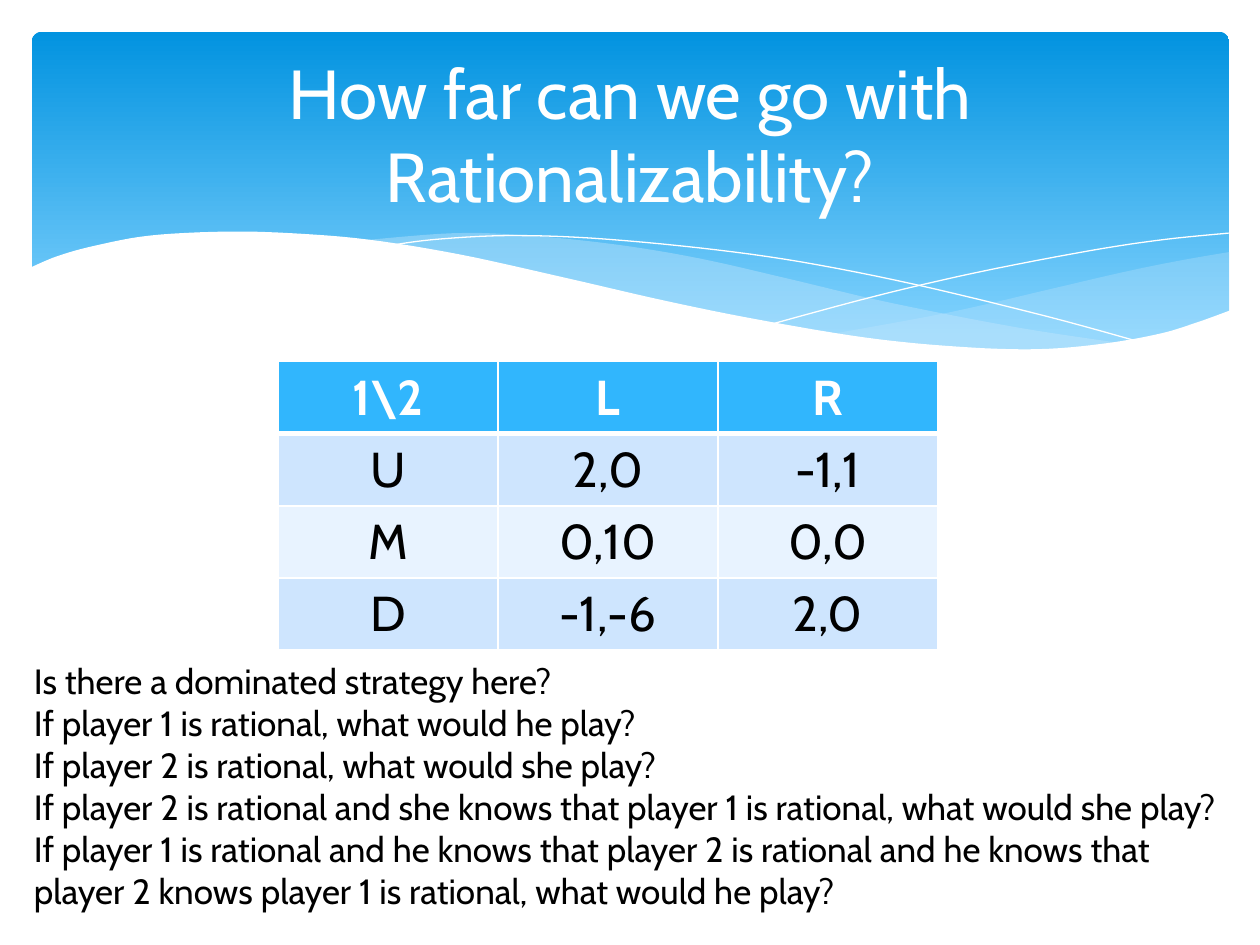
from dataclasses import dataclass
from itertools import chain

from lxml.etree import SubElement
from pptx import Presentation
from pptx.dml.color import RGBColor
from pptx.enum.shapes import MSO_SHAPE as Shape
from pptx.enum.text import MSO_ANCHOR as Anchor, MSO_AUTO_SIZE as AutoSize, PP_ALIGN as Align
from pptx.oxml import parse_xml
from pptx.oxml.ns import nsdecls, qn
from pptx.util import Cm, Pt

Point = tuple[float, float]
Curve = list[Point]


@dataclass(frozen=True)
class Theme:
    font: str = "Cabin"
    white: str = "FFFFFF"
    ink: str = "000000"
    banner_top: str = "0293E0"
    banner_bottom: str = "83D3FE"
    veil: str = "C6E7FC"
    header: str = "31B6FD"
    band_dark: str = "CEE5FE"
    band_light: str = "E8F3FF"
    title_size: float = 39.6
    table_size: float = 28
    body_size: float = 20


@dataclass(frozen=True)
class Wave:
    """Smooth curves, in cm, joined end to end; an outline only when fill is empty."""
    curves: list[Curve]
    fill: str = ""
    opacity: int = 100


THEME = Theme()

WAVES = [
    Wave([[(24.79, 5.08), (23.75, 5.26), (22.63, 5.49), (21.13, 5.84), (19.13, 6.3),
           (16.79, 6.73)],
          [(16.79, 6.73), (17.91, 6.88), (19.23, 7.01), (20.68, 7.06), (21.92, 6.99),
           (22.99, 6.83), (23.93, 6.58), (24.79, 6.27)]], THEME.veil, 29),
    Wave([[(22.68, 6.93), (20.5, 6.6), (17.93, 6.1), (15.98, 5.64), (14.1, 5.21),
           (12.42, 4.93), (10.67, 4.75), (9.17, 4.7), (7.26, 4.85)],
          [(7.26, 4.85), (9.19, 5.16), (11.4, 5.64), (13.46, 6.1), (15.7, 6.55),
           (17.65, 6.86), (19.33, 7.04), (20.78, 7.06), (21.77, 7.04), (22.68, 6.93)]],
         THEME.veil, 40),
    Wave([[(7.85, 4.95), (8.74, 4.83), (10.19, 4.75), (11.91, 4.8), (14.12, 5),
           (16.15, 5.28), (18.47, 5.74), (21.11, 6.38), (23.04, 6.91)]]),
    Wave([[(15.57, 6.53), (17.65, 5.97), (19.71, 5.49), (22, 5.05), (23.47, 4.83),
           (24.77, 4.7)]]),
    Wave([[(0.58, 5.41), (1.17, 5.16), (1.93, 4.95), (3.02, 4.75), (4.5, 4.67),
           (5.84, 4.7), (7.42, 4.83), (9.27, 5.13), (11.35, 5.59), (13.44, 6.07),
           (15.32, 6.45), (17.48, 6.81), (19.33, 6.99), (20.9, 7.04), (22.23, 6.93),
           (23.37, 6.73), (24.13, 6.5), (24.82, 6.25)],
          [(24.82, 8.36), (0.58, 8.36)]], THEME.white),
]

TITLE = "How far can we go with Rationalizability?"
PAYOFFS = [
    ["1\\2", "L", "R"],
    ["U", "2,0", "-1,1"],
    ["M", "0,10", "0,0"],
    ["D", "-1,-6", "2,0"],
]
QUESTIONS = [
    "Is there a dominated strategy here?",
    "If player 1 is rational, what would he play?",
    "If player 2 is rational, what would she play?",
    "If player 2 is rational and she knows that player 1 is rational, what would she play?",
    "If player 1 is rational and he knows that player 2 is rational and he knows that "
    "player 2 knows player 1 is rational, what would he play?",
]


def rgb(value: str) -> RGBColor:
    return RGBColor.from_string(value)


def write(paragraph, text: str, *, size: float, color: str = THEME.ink,
          bold: bool = False, align: Align = Align.LEFT) -> None:
    paragraph.alignment = align
    paragraph.space_before = Pt(0)
    run = paragraph.add_run()
    run.text = text
    run.font.name = THEME.font
    run.font.size = Pt(size)
    run.font.bold = bold
    run.font.color.rgb = rgb(color)


def place(shape, left: float, top: float, width: float, height: float) -> None:
    shape.left, shape.top, shape.width, shape.height = map(Cm, (left, top, width, height))


def smooth(curve: Curve, steps: int = 6) -> Curve:
    """Sample a Catmull-Rom spline that passes through every point of the curve."""
    padded = [curve[0], *curve, curve[-1]]
    samples = [curve[0]]
    for a, b, c, d in zip(padded, padded[1:], padded[2:], padded[3:]):
        for t in (step / steps for step in range(1, steps + 1)):
            samples.append(tuple(
                (2 * q + (r - p) * t + (2 * p - 5 * q + 4 * r - s) * t ** 2
                 + (3 * q - p - 3 * r + s) * t ** 3) / 2
                for p, q, r, s in zip(a, b, c, d)))
    return samples


def draw_wave(shapes, wave: Wave) -> None:
    outline = [(Cm(x), Cm(y)) for x, y in chain.from_iterable(map(smooth, wave.curves))]
    builder = shapes.build_freeform(*outline[0])
    builder.add_line_segments(outline[1:], close=bool(wave.fill))
    shape = builder.convert_to_shape()
    shape.shadow.inherit = False
    if not wave.fill:
        shape.fill.background()
        shape.line.color.rgb = rgb(THEME.white)
        shape.line.width = Pt(0)
        return
    shape.line.fill.background()
    shape.fill.solid()
    shape.fill.fore_color.rgb = rgb(wave.fill)
    if wave.opacity < 100:
        tone = shape.fill._xPr.find(qn("a:solidFill"))[0]
        SubElement(tone, qn("a:alpha"), val=str(wave.opacity * 1000))


def draw_banner(shapes) -> None:
    banner = shapes.add_shape(Shape.ROUNDED_RECTANGLE, Cm(0.64), Cm(0.64), Cm(24.14), Cm(6.86))
    banner.adjustments[0] = 0.03
    banner.shadow.inherit = False
    banner.line.fill.background()
    banner.fill.gradient()
    banner.fill.gradient_angle = 270
    tones = [(0, THEME.banner_top), (0.9, THEME.banner_bottom)]
    for stop, (position, color) in zip(banner.fill.gradient_stops, tones):
        stop.position = position
        stop.color.rgb = rgb(color)


def border_cell(cell, *, top: float, bottom: float) -> None:
    properties = cell._tc.get_or_add_tcPr()
    for index, (side, width) in enumerate(zip("LRTB", (1, 1, top, bottom))):
        properties.insert(index, parse_xml(
            f'<a:ln{side} {nsdecls("a")} w="{Pt(width)}"><a:solidFill>'
            f'<a:srgbClr val="{THEME.white}"/></a:solidFill></a:ln{side}>'))


def draw_payoffs(shapes) -> None:
    columns, row_height = len(PAYOFFS[0]), 1.44
    table = shapes.add_table(len(PAYOFFS), columns, Cm(5.61), Cm(7.29), Cm(4.43 * columns),
                             Cm(row_height * len(PAYOFFS))).table
    for r, row in enumerate(PAYOFFS):
        is_header = r == 0
        band = THEME.band_dark if r % 2 else THEME.band_light
        for c, text in enumerate(row):
            cell = table.cell(r, c)
            cell.fill.solid()
            cell.fill.fore_color.rgb = rgb(THEME.header if is_header else band)
            border_cell(cell, top=3 if r == 1 else 1, bottom=3 if is_header else 1)
            write(cell.text_frame.paragraphs[0], text, size=THEME.table_size, bold=is_header,
                  color=THEME.white if is_header else THEME.ink, align=Align.CENTER)


def fill_title(title) -> None:
    place(title, 1.27, 0.94, 22.86, 3.48)
    title.text_frame.auto_size = AutoSize.NONE
    title.text_frame.vertical_anchor = Anchor.MIDDLE
    write(title.text_frame.paragraphs[0], TITLE, size=THEME.title_size, color=THEME.white,
          align=Align.CENTER)


def fill_questions(body) -> None:
    place(body, 0.43, 13.16, 24.97, 5.38)
    frame = body.text_frame
    frame.auto_size = AutoSize.SHAPE_TO_FIT_TEXT
    for index, question in enumerate(QUESTIONS):
        paragraph = frame.add_paragraph() if index else frame.paragraphs[0]
        write(paragraph, question, size=THEME.body_size)
        properties = paragraph._p.get_or_add_pPr()
        properties.set("marL", "0")
        properties.set("indent", "0")
        SubElement(properties, qn("a:buNone"))


def main() -> None:
    deck = Presentation()
    deck.slide_width, deck.slide_height = Cm(25.4), Cm(19.05)
    slide = deck.slides.add_slide(deck.slide_layouts[1])
    title, body = slide.placeholders
    draw_banner(slide.shapes)
    for wave in WAVES:
        draw_wave(slide.shapes, wave)
    draw_payoffs(slide.shapes)
    fill_title(title)
    fill_questions(body)
    for placeholder in (title, body):  # bring the text in front of the banner
        slide.shapes._spTree.append(placeholder._element)
    deck.save("out.pptx")


if __name__ == "__main__":
    main()
